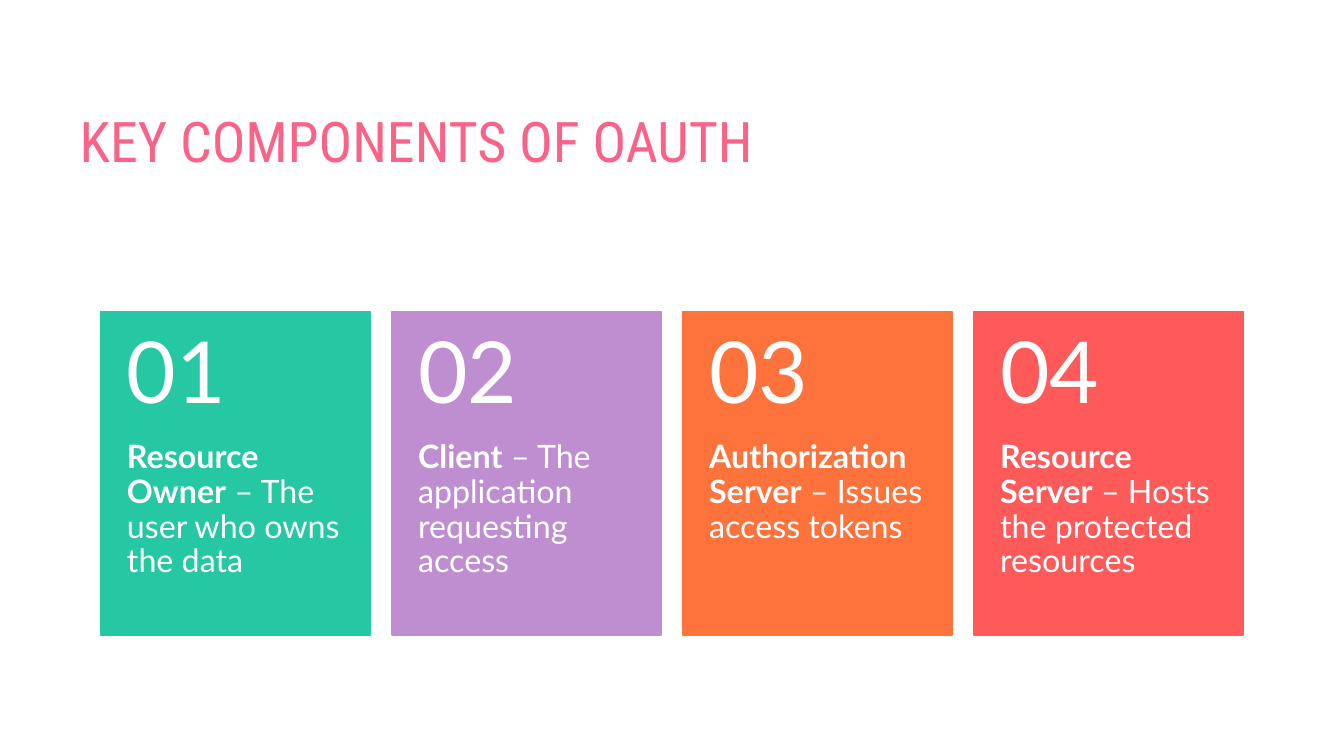
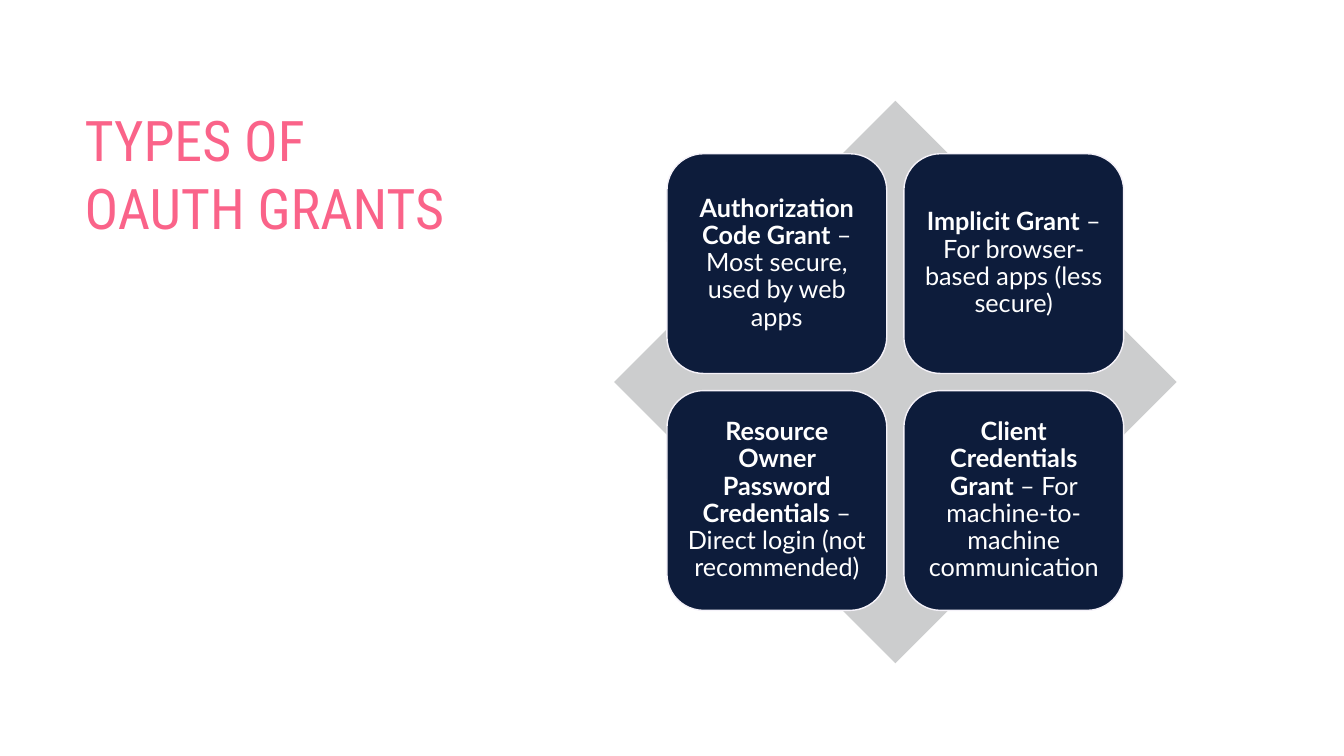
from dataclasses import dataclass

from pptx import Presentation
from pptx.dml.color import RGBColor
from pptx.enum.shapes import MSO_SHAPE as Shape
from pptx.enum.text import MSO_ANCHOR as Anchor, MSO_AUTO_SIZE as AutoSize, PP_ALIGN as Align
from pptx.util import Inches, Pt


@dataclass(frozen=True)
class Theme:
    title_color: str = "FA6389"
    text_color: str = "FFFFFF"
    diamond: str = "CCCDCE"
    tile: str = "0D1C3B"
    tile_line: str = "F5F2F9"
    cards: tuple = ("25C8A2", "BF8ED1", "FE733C", "FE5A5A")
    title_font: str = "Roboto Condensed"
    body_font: str = "Lato"
    title_size: int = 40
    number_size: int = 61
    card_size: int = 23
    tile_size: int = 18


THEME = Theme()
TITLE_ONLY = 5

COMPONENTS = (
    ("Resource Owner", " – The user who owns the data"),
    ("Client", " – The application requesting access"),
    ("Authorization Server", " – Issues access tokens"),
    ("Resource Server", " – Hosts the protected resources"),
)
GRANTS = (
    ("Authorization Code Grant", " – Most secure, used by web apps"),
    ("Implicit Grant", " – For browser-based apps (less secure)"),
    ("Resource Owner Password Credentials", " – Direct login (not recommended)"),
    ("Client Credentials Grant", " – For machine-to-machine communication"),
)


def inches(*lengths):
    return [Inches(length) for length in lengths]


def add_run(para, text, size, font=THEME.body_font, color=THEME.text_color, bold=False):
    span = para.add_run()
    span.text = text
    span.font.name = font
    span.font.size = Pt(size)
    span.font.bold = bold
    span.font.color.rgb = RGBColor.from_string(color)


def set_frame(frame, insets, anchor):
    """Insets run left, top, right, bottom."""
    frame.word_wrap = True
    frame.auto_size = AutoSize.NONE
    frame.vertical_anchor = anchor
    (frame.margin_left, frame.margin_top,
     frame.margin_right, frame.margin_bottom) = inches(*insets)


def write_body(frame, runs, size, insets, anchor, align=Align.LEFT):
    """Write (text, bold) runs as one body paragraph."""
    set_frame(frame, insets, anchor)
    para = frame.paragraphs[0]
    para.alignment = align
    para.line_spacing = 0.9
    for text, bold in runs:
        add_run(para, text, size, bold=bold)


def labelled(term, detail):
    return (term, True), (detail, False)


def add_titled_slide(deck, text, area):
    slide = deck.slides.add_slide(deck.slide_layouts[TITLE_ONLY])
    title = slide.shapes.title
    title.left, title.top, title.width, title.height = inches(*area)
    set_frame(title.text_frame, (0.1, 0.05, 0.1, 0.05), Anchor.TOP)
    para = title.text_frame.paragraphs[0]
    para.alignment = Align.LEFT
    para.space_after = Pt(6)
    add_run(para, text, THEME.title_size, THEME.title_font, THEME.title_color)
    return slide


def add_panel(slide, kind, area, fill, line=None):
    panel = slide.shapes.add_shape(kind, *inches(*area))
    panel.shadow.inherit = False
    panel.fill.solid()
    panel.fill.fore_color.rgb = RGBColor.from_string(fill)
    if line:
        panel.line.color.rgb = RGBColor.from_string(line)
        panel.line.width = Pt(1)
    else:
        panel.line.fill.background()
    return panel


def add_card(slide, left, top, width, height, color, number, runs):
    number_height = 0.4 * height
    add_panel(slide, Shape.RECTANGLE, (left, top, width, height), color, color)
    number_box = slide.shapes.add_textbox(*inches(left, top, width, number_height))
    write_body(number_box.text_frame, [(f"{number:02}", False)], THEME.number_size,
               (0.26, 0.18, 0.26, 0.18), Anchor.MIDDLE)
    label_box = slide.shapes.add_textbox(
        *inches(left, top + number_height, width, height - number_height))
    write_body(label_box.text_frame, runs, THEME.card_size,
               (0.26, 0, 0.26, 0.36), Anchor.TOP)


def add_components_slide(deck):
    slide = add_titled_slide(deck, "KEY COMPONENTS OF OAUTH", (0.69, 1.01, 11.33, 1.25))
    left, top, span, width, height = 1, 3.09, 11.33, 2.67, 3.21
    pitch = (span - width) / (len(COMPONENTS) - 1)
    for index, (color, component) in enumerate(zip(THEME.cards, COMPONENTS)):
        add_card(slide, left + index * pitch, top, width, height,
                 color, index + 1, labelled(*component))


def add_grants_slide(deck):
    slide = add_titled_slide(deck, "TYPES OF OAUTH GRANTS", (0.74, 1, 4.02, 4.55))
    left, top, side, tile, gap = 6.09, 1, 5.58, 2.18, 0.17
    add_panel(slide, Shape.DIAMOND, (left, top, side, side), THEME.diamond)
    margin = (side - 2 * tile - gap) / 2
    for index, grant in enumerate(GRANTS):
        row, column = divmod(index, 2)
        area = (left + margin + column * (tile + gap),
                top + margin + row * (tile + gap), tile, tile)
        panel = add_panel(slide, Shape.ROUNDED_RECTANGLE, area, THEME.tile, THEME.tile_line)
        write_body(panel.text_frame, labelled(*grant), THEME.tile_size,
                   (0.07,) * 4, Anchor.MIDDLE, Align.CENTER)


def main():
    deck = Presentation()
    deck.slide_width, deck.slide_height = inches(13.33, 7.5)
    add_components_slide(deck)
    add_grants_slide(deck)
    deck.save("out.pptx")


if __name__ == "__main__":
    main()
